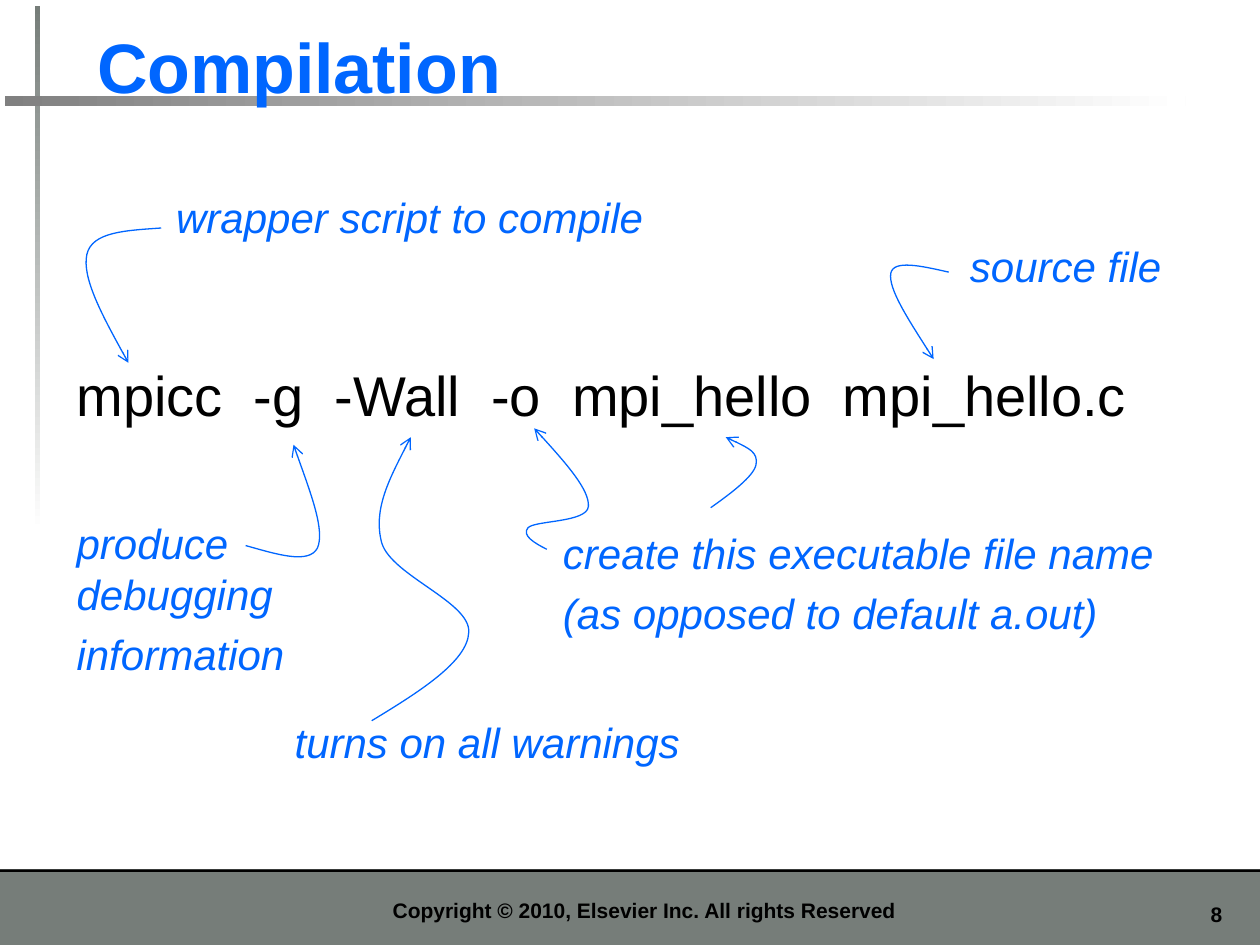
"""Build the slide that explains each part of an MPI compile command."""
from dataclasses import dataclass

from lxml import etree
from pptx import Presentation
from pptx import util as u
from pptx.dml.color import RGBColor
from pptx.enum import shapes, text
from pptx.oxml.ns import qn

COLUMNS, ROWS = 100, 75
CELL = u.Inches(0.1)


@dataclass(frozen=True)
class Theme:
    font: str = "Arial"
    accent: str = "0066FF"
    ink: str = "000000"
    band: str = "767D79"
    rule: str = "808080"
    paper: str = "FFFFFF"
    title: float = 40
    command: float = 32
    note: float = 24
    footer: float = 12
    note_gap: float = 5.5
    arrow: float = 0.75


@dataclass(frozen=True)
class Area:
    column: float
    row: float
    columns: float
    rows: float

    def emu(self) -> list[int]:
        return [grid(n) for n in (self.column, self.row, self.columns, self.rows)]


@dataclass(frozen=True)
class Note:
    area: Area
    lines: tuple[str, ...]


@dataclass(frozen=True)
class Bar:
    area: Area
    color: str
    fade_angle: int | None = None


THEME = Theme()

BARS = (
    Bar(Area(0, 69, COLUMNS, 6), THEME.band),
    Bar(Area(0, 69, COLUMNS, 0.2), THEME.ink),
    Bar(Area(2.8, 0.5, 0.4, 41.7), THEME.band, 270),
    Bar(Area(0.4, 7.6, 93.7, 0.8), THEME.rule, 0),
)

NOTES = (
    Note(Area(13, 14.7, 40.4, 5), ("wrapper script to compile",)),
    Note(Area(22.4, 56.4, 32.9, 5), ("turns on all warnings",)),
    Note(Area(76, 18.6, 17.4, 5), ("source file",)),
    Note(Area(43.7, 41.4, 49.4, 9.9),
         ("create this executable file name", "(as opposed to default a.out)")),
    Note(Area(5.1, 40.6, 18.7, 13.9), ("produce\ndebugging", "information")),
)

ARROWS = {
    "mpicc": ((12.8, 18.1), (10, 18.3), (7.3, 18.4), (6.9, 20.2),
              (6.5, 22), (8.3, 25.4), (10.2, 28.8)),
    "source": ((75.3, 21.6), (73.1, 21.1), (70.9, 20.6), (70.7, 21.7),
               (70.5, 22.9), (72.3, 25.7), (74.1, 28.5)),
    "-g": ((19.5, 43.3), (22, 44), (24.5, 44.8), (25.2, 43.5),
           (25.8, 42.1), (24.5, 38.7), (23.3, 35.3)),
    "-Wall": ((29.5, 57.2), (33.3, 54.9), (37.1, 52.5), (37.2, 50.2),
              (37.4, 47.8), (31.1, 45.7), (30.3, 43.1),
              (29.6, 40.5), (31.1, 37.6), (32.6, 34.7)),
    "executable": ((56.4, 40.3), (58.1, 39.1), (59.8, 37.8), (60, 36.9),
                   (60.2, 35.9), (58.9, 35.3), (57.6, 34.7)),
    "-o": ((43.4, 43.6), (42.4, 43.1), (41.4, 42.5), (41.9, 41.9),
           (42.4, 41.3), (46.6, 41.5), (46.7, 40.2),
           (46.8, 38.9), (44.6, 36.4), (42.4, 34)),
}


def grid(cells: float) -> int:
    """Turn grid cells into a length."""
    return round(cells * CELL)


def write(frame, *lines: str, size: float, color: str = THEME.ink, bold: bool = False,
          italic: bool = False, align=text.PP_ALIGN.LEFT, anchor=text.MSO_ANCHOR.TOP,
          wrap: bool = True, gap: float = 0) -> None:
    """Fill a text frame with formatted paragraphs."""
    frame.word_wrap = wrap
    frame.auto_size = text.MSO_AUTO_SIZE.NONE
    frame.vertical_anchor = anchor
    for index, line in enumerate(lines):
        paragraph = frame.add_paragraph() if index else frame.paragraphs[0]
        paragraph.text = line
        paragraph.alignment = align
        paragraph.space_before = u.Pt(gap if index else 0)
        for run in paragraph.runs:
            font = run.font
            font.name, font.size = THEME.font, u.Pt(size)
            font.bold, font.italic = bold, italic
            font.color.rgb = RGBColor.from_string(color)


def label(slide, area: Area, *lines: str, **style) -> None:
    """Add a text box."""
    write(slide.shapes.add_textbox(*area.emu()).text_frame, *lines, **style)


def draw_bar(slide, bar: Bar) -> None:
    """Draw a solid bar, or one that fades into the paper."""
    shape = slide.shapes.add_shape(shapes.MSO_SHAPE.RECTANGLE, *bar.area.emu())
    shape.shadow.inherit = False
    shape.line.fill.background()
    if bar.fade_angle is None:
        shape.fill.solid()
        shape.fill.fore_color.rgb = RGBColor.from_string(bar.color)
        return
    shape.fill.gradient()
    shape.fill.gradient_angle = bar.fade_angle
    for stop, color in zip(shape.fill.gradient_stops, (bar.color, THEME.paper)):
        stop.color.rgb = RGBColor.from_string(color)


def draw_arrow(slide, points: tuple[tuple[float, float], ...]) -> None:
    """Draw a chain of cubic curves that ends in an arrowhead."""
    start, *controls = [(grid(x), grid(y)) for x, y in points]
    builder = slide.shapes.build_freeform(*start)
    builder.add_line_segments(controls, close=False)
    curve = builder.convert_to_shape()
    curve.shadow.inherit = False
    curve.fill.background()
    curve.line.width = u.Pt(THEME.arrow)
    curve.line.color.rgb = RGBColor.from_string(THEME.accent)
    outline = next(curve.element.iter(qn("a:path")))
    for index, segment in enumerate(outline.findall(qn("a:lnTo"))):
        if index % 3 == 0:
            bezier = etree.SubElement(outline, qn("a:cubicBezTo"))
        bezier.append(segment[0])
        outline.remove(segment)
    etree.SubElement(next(curve.element.iter(qn("a:ln"))), qn("a:tailEnd"), type="arrow")


def main() -> None:
    """Build and save the slide."""
    deck = Presentation()
    deck.slide_width, deck.slide_height = grid(COLUMNS), grid(ROWS)
    slide = deck.slides.add_slide(deck.slide_layouts[5])
    for bar in BARS:
        draw_bar(slide, bar)

    title = slide.shapes.title
    title.left, title.top, title.width, title.height = Area(6.7, 1.3, 90.6, 7.7).emu()
    title.element.getparent().append(title.element)
    write(title.text_frame, "Compilation", size=THEME.title, color=THEME.accent,
          bold=True, anchor=text.MSO_ANCHOR.BOTTOM)

    label(slide, Area(11.4, 69.8, 79.5, 3.9),
          "Copyright © 2010, Elsevier Inc. All rights Reserved", size=THEME.footer,
          bold=True, align=text.PP_ALIGN.CENTER, anchor=text.MSO_ANCHOR.BOTTOM)
    label(slide, Area(91.7, 71.1, 6.3, 3), "8", size=THEME.footer, bold=True,
          align=text.PP_ALIGN.RIGHT)
    label(slide, Area(5.1, 28.1, 89.8, 6.4),
          "mpicc  -g  -Wall  -o  mpi_hello  mpi_hello.c", size=THEME.command)
    for note in NOTES:
        label(slide, note.area, *note.lines, size=THEME.note, color=THEME.accent,
              italic=True, wrap=False, gap=THEME.note_gap)
    for points in ARROWS.values():
        draw_arrow(slide, points)
    deck.save("out.pptx")


if __name__ == "__main__":
    main()
